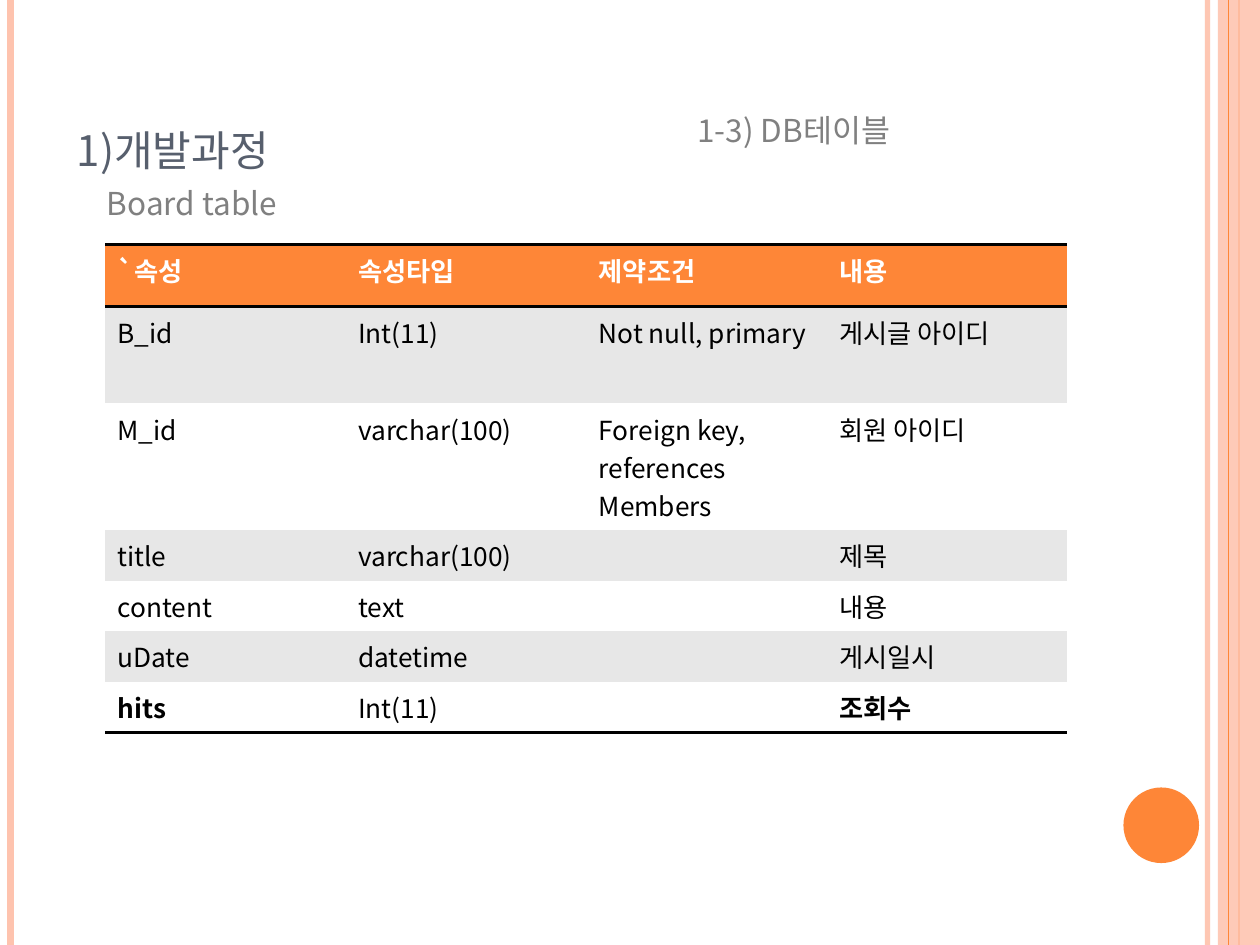
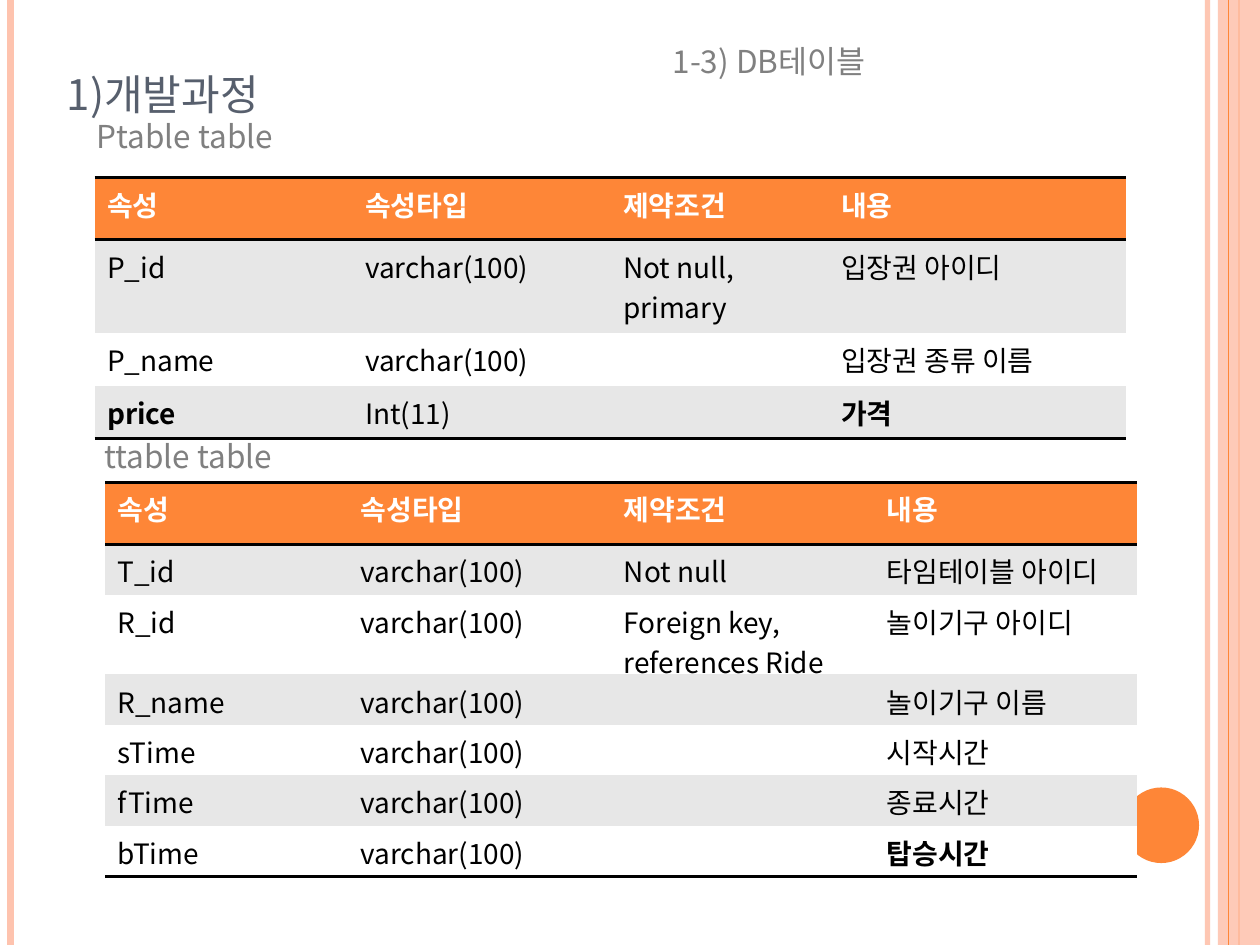
from lxml.etree import SubElement
from pptx import Presentation
from pptx.dml.color import RGBColor
from pptx.enum.shapes import MSO_CONNECTOR, MSO_SHAPE
from pptx.enum.text import MSO_ANCHOR, MSO_AUTO_SIZE, PP_ALIGN
from pptx.oxml.ns import qn
from pptx.util import Pt

ORANGE = RGBColor(0xFE, 0x86, 0x37)
PEACH = RGBColor(0xFE, 0xC3, 0xAE)
SLATE = RGBColor(0x57, 0x5F, 0x6D)
GRAY = RGBColor(0x80, 0x80, 0x80)
BAND = RGBColor(0xE7, 0xE7, 0xE7)
WHITE = RGBColor(0xFF, 0xFF, 0xFF)
BLACK = RGBColor(0, 0, 0)

FONT = "Noto Sans CJK KR"
PLAIN = "{2D5ABB26-0587-4C30-8999-92F81FD0307C}"  # table style without grid
WIDE, HIGH = 720, 540
HEAD = 35.4
ROW = 28.8

# x, colour, width, opacity in percent
RAILS = [(690, PEACH, 3, 93), (6, PEACH, 4.5, 100), (708, ORANGE, 1.5, 100)]
EDGE = (702, ORANGE, 0.75, 100)

BOARD = [
    ("`속성", "속성타입", "제약조건", "내용"),
    ("B_id", "Int(11)", "Not null, primary", "게시글 아이디"),
    ("M_id", "varchar(100)", "Foreign key, references Members", "회원 아이디"),
    ("title", "varchar(100)", "", "제목"),
    ("content", "text", "", "내용"),
    ("uDate", "datetime", "", "게시일시"),
    ("hits", "Int(11)", "", "조회수"),
]
TICKET = [
    ("속성", "속성타입", "제약조건", "내용"),
    ("P_id", "varchar(100)", "Not null, primary", "입장권 아이디"),
    ("P_name", "varchar(100)", "", "입장권 종류 이름"),
    ("price", "Int(11)", "", "가격"),
]
TIMES = [
    ("속성", "속성타입", "제약조건", "내용"),
    ("T_id", "varchar(100)", "Not null", "타임테이블 아이디"),
    ("R_id", "varchar(100)", "Foreign key, references Ride", "놀이기구 아이디"),
    ("R_name", "varchar(100)", "", "놀이기구 이름"),
    ("sTime", "varchar(100)", "", "시작시간"),
    ("fTime", "varchar(100)", "", "종료시간"),
    ("bTime", "varchar(100)", "", "탑승시간"),
]


class Deck:
    """Holds the presentation, its style and the slide being filled."""

    def __init__(self):
        self.show = Presentation()
        self.show.slide_width, self.show.slide_height = Pt(WIDE), Pt(HIGH)
        self.slide = None

    def page(self, left, top):
        """Start a slide with its bands, its title and its section label."""
        self.slide = self.show.slides.add_slide(self.show.slide_layouts[5])
        for rail in RAILS:
            self.rail(*rail)
        self.shape(MSO_SHAPE.RECTANGLE, 696, 0, 24, HIGH, PEACH, 87)
        self.rail(*EDGE)
        self.shape(MSO_SHAPE.OVAL, 642, 450, 43.2, 43.2, ORANGE)
        self.title("1)개발과정", left, top)

    def style(self, par, size, color, bold=False):
        """Set the paragraph font for Latin and Korean; return its element."""
        font = par.font
        font.size, font.bold, font.name = Pt(size), bold, FONT
        font.color.rgb = color
        props = par._p.pPr.find(qn("a:defRPr"))
        SubElement(props, qn("a:ea")).set("typeface", FONT)
        return props

    def fade(self, item, part):
        """Make the solid fill within an element partly transparent."""
        color = next(item.iter(qn("a:srgbClr")))
        SubElement(color, qn("a:alpha")).set("val", str(part * 1000))

    def rail(self, x, color, width, part):
        line = self.slide.shapes.add_connector(
            MSO_CONNECTOR.STRAIGHT, Pt(x), 0, Pt(x), Pt(HIGH))
        line.line.color.rgb, line.line.width = color, Pt(width)
        props = line._element.spPr
        SubElement(props, qn("a:effectLst"))
        if part < 100:
            self.fade(props, part)

    def shape(self, kind, left, top, width, height, color, part=100):
        item = self.slide.shapes.add_shape(
            kind, Pt(left), Pt(top), Pt(width), Pt(height))
        item.shadow.inherit = False
        item.fill.solid()
        item.fill.fore_color.rgb = color
        item.line.fill.background()
        if part < 100:
            self.fade(item._element.spPr, part)

    def title(self, text, left, top):
        item = self.slide.shapes.title
        item.left, item.top = Pt(left), Pt(top)
        item.width, item.height = Pt(588), Pt(90)
        frame = item.text_frame
        frame.text = text
        frame.auto_size = MSO_AUTO_SIZE.NONE
        frame.vertical_anchor = MSO_ANCHOR.BOTTOM
        par = frame.paragraphs[0]
        par.alignment = PP_ALIGN.LEFT
        self.style(par, 30, SLATE).set("cap", "small")

    def label(self, text, left, top, width):
        box = self.slide.shapes.add_textbox(
            Pt(left), Pt(top), Pt(width), Pt(28.8))
        frame = box.text_frame
        frame.text = text
        frame.word_wrap = False
        frame.auto_size = MSO_AUTO_SIZE.SHAPE_TO_FIT_TEXT
        self.style(frame.paragraphs[0], 18, GRAY)

    def rule(self, cell, side):
        """Draw a black line on one side of a cell: lnT or lnB."""
        props = cell._tc.get_or_add_tcPr()
        line = props.makeelement(qn("a:" + side), {"w": str(Pt(2))})
        fill = SubElement(line, qn("a:solidFill"))
        SubElement(fill, qn("a:srgbClr")).set("val", str(BLACK))
        props.insert(len(props.findall(qn("a:lnT"))), line)

    def table(self, data, left, top, cols, size, tall, bold):
        """tall maps row numbers to heights; bold lists (row, column) pairs."""
        highs = [HEAD] + [tall.get(r, ROW) for r in range(1, len(data))]
        frame = self.slide.shapes.add_table(
            len(data), len(cols), Pt(left), Pt(top),
            Pt(sum(cols)), Pt(sum(highs)))
        grid = frame.table
        grid._tbl.tblPr.find(qn("a:tableStyleId")).text = PLAIN
        for col, width in zip(grid.columns, cols):
            col.width = Pt(width)
        for r, (row, high) in enumerate(zip(data, highs)):
            grid.rows[r].height = Pt(high)
            for c, text in enumerate(row):
                cell = grid.cell(r, c)
                cell.text = text
                head = r == 0
                cell.fill.solid()
                cell.fill.fore_color.rgb = (
                    ORANGE if head else BAND if r % 2 else WHITE)
                self.style(cell.text_frame.paragraphs[0], size,
                           WHITE if head else BLACK, head or (r, c) in bold)
                if head:
                    self.rule(cell, "lnT")
                if head or r == len(data) - 1:
                    self.rule(cell, "lnB")


def main():
    deck = Deck()

    deck.page(36.7, 15)
    deck.table(BOARD, 60, 139.7, [137.5] * 4, 15, {1: 55.4, 2: 72},
               [(6, 0), (6, 3)])
    deck.label("1-3) DB테이블", 391.5, 59.8, 134.6)
    deck.label("Board table", 54, 101.5, 122.4)

    deck.page(31, -17.3)
    deck.table(TICKET, 54, 101.5, [147.5, 147.5, 124.5, 170], 16,
               {1: 45.4}, [(3, 0), (3, 3)])
    deck.label("1-3) DB테이블", 377.3, 20.7, 134.6)
    deck.label("Ptable table", 48.2, 63.4, 125.3)
    deck.table(TIMES, 60, 275.6, [139] + [150.3] * 3, 16,
               {2: 45.4}, [(6, 3)])
    deck.label("ttable table", 52.6, 246.2, 118.8)

    deck.show.save("out.pptx")


if __name__ == "__main__":
    main()
